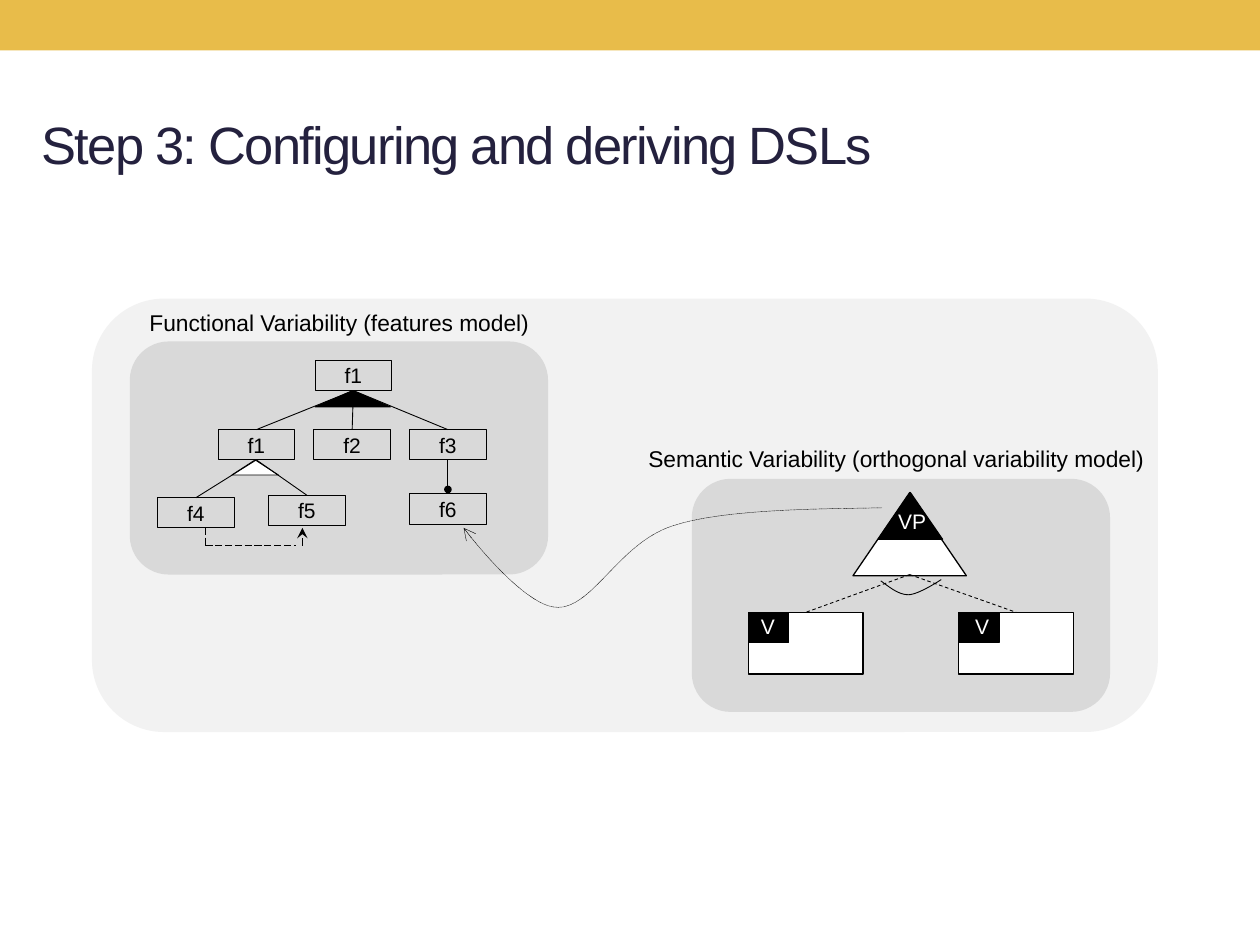
from dataclasses import dataclass

from lxml import etree
from pptx import Presentation
from pptx.dml.color import RGBColor
from pptx.enum.dml import MSO_LINE
from pptx.enum.shapes import MSO_CONNECTOR, MSO_SHAPE
from pptx.enum.text import MSO_ANCHOR, PP_ALIGN
from pptx.oxml.ns import qn
from pptx.util import Cm, Pt

RECT, ROUNDED = MSO_SHAPE.RECTANGLE, MSO_SHAPE.ROUNDED_RECTANGLE
TRIANGLE, OVAL = MSO_SHAPE.ISOSCELES_TRIANGLE, MSO_SHAPE.OVAL
STRAIGHT = MSO_CONNECTOR.STRAIGHT
DASH, LONG_DASH, DOT = MSO_LINE.DASH, MSO_LINE.LONG_DASH, MSO_LINE.ROUND_DOT
LEFT, CENTER, MIDDLE = PP_ALIGN.LEFT, PP_ALIGN.CENTER, MSO_ANCHOR.MIDDLE
TOP_SIDE, BOTTOM_SIDE = 0, 2
BLACK, WHITE = "000000", "FFFFFF"
OUTER_GREY, PANEL_GREY = "F2F2F2", "D9D9D9"
FONT = "Arial"


@dataclass
class Box:
    """Position and size in inches."""
    left: float
    top: float
    width: float
    height: float

    def lengths(self):
        return [inch(v) for v in (self.left, self.top, self.width, self.height)]


@dataclass
class Feature:
    key: str
    label: str
    left: float
    top: float
    parent: str = ""


@dataclass
class Label:
    text: str
    box: Box
    size: int
    color: str
    align: PP_ALIGN


def inch(value: float) -> Cm:
    return Cm(value * 2.54)


def rgb(color: str) -> RGBColor:
    return RGBColor.from_string(color)


def style_line(line, width: float, dash=None, arrow: str = ""):
    line.color.rgb = rgb(BLACK)
    line.width = Pt(width)
    if dash is not None:
        line.dash_style = dash
    if arrow:
        etree.SubElement(line._get_or_add_ln(), qn("a:tailEnd"), type=arrow)


def add_shape(slide, kind, box: Box, fill: str = "", line_width: float = 0):
    shape = slide.shapes.add_shape(kind, *box.lengths())
    shape.shadow.inherit = False
    if fill:
        shape.fill.solid()
        shape.fill.fore_color.rgb = rgb(fill)
    else:
        shape.fill.background()
    if line_width:
        style_line(shape.line, line_width)
    else:
        shape.line.fill.background()
    return shape


def add_run(paragraph, text: str, size: int, color: str):
    run = paragraph.add_run()
    run.text = text
    run.font.name = FONT
    run.font.size = Pt(size)
    run.font.color.rgb = rgb(color)
    return run


def add_label(slide, label: Label):
    frame = slide.shapes.add_textbox(*label.box.lengths()).text_frame
    frame.word_wrap = True
    frame.paragraphs[0].alignment = label.align
    add_run(frame.paragraphs[0], label.text, label.size, label.color)


def add_line(slide, start=(0, 0), end=(0, 0), dash=None, arrow="", source=None, target=None):
    """Draw a line; source joins at its bottom, target at its top."""
    points = [inch(v) for v in (*start, *end)]
    connector = slide.shapes.add_connector(STRAIGHT, *points)
    if source is not None:
        connector.begin_connect(source, BOTTOM_SIDE)
    if target is not None:
        connector.end_connect(target, TOP_SIDE)
    style_line(connector.line, 0.5, dash, arrow)
    etree.SubElement(connector._element.spPr, qn("a:effectLst"))


def bezier_points(controls, steps: int = 24):
    """Sample chained cubic curves whose end points are shared."""
    points = [controls[0]]
    for first in range(0, len(controls) - 1, 3):
        a, b, c, d = controls[first:first + 4]
        for step in range(1, steps + 1):
            t = step / steps
            u = 1 - t
            weights = (u ** 3, 3 * u * u * t, 3 * u * t * t, t ** 3)
            points.append(tuple(
                sum(w * p[axis] for w, p in zip(weights, (a, b, c, d))) for axis in (0, 1)))
    return points


def add_curve(slide, controls, width: float, dash=None, arrow: str = ""):
    points = [(inch(x), inch(y)) for x, y in bezier_points(controls)]
    builder = slide.shapes.build_freeform(*points[0])
    builder.add_line_segments(points[1:], close=False)
    curve = builder.convert_to_shape()
    curve.shadow.inherit = False
    curve.fill.background()
    style_line(curve.line, width, dash, arrow)


def add_feature(slide, feature: Feature):
    shape = add_shape(slide, RECT, Box(feature.left, feature.top, 0.61, 0.24), line_width=0.5)
    frame = shape.text_frame
    frame.margin_left = frame.margin_right = inch(0.04)
    frame.margin_top = frame.margin_bottom = inch(0.02)
    frame.paragraphs[0].alignment = CENTER
    add_run(frame.paragraphs[0], feature.label, 12, BLACK)
    return shape


def add_title(slide, text: str):
    title = slide.shapes.title
    title.left, title.top, title.width, title.height = Box(0.23, 0.6, 9, 1.08).lengths()
    title.text_frame.vertical_anchor = MIDDLE
    paragraph = title.text_frame.paragraphs[0]
    paragraph.alignment = LEFT
    run = add_run(paragraph, text, 30, "24213E")
    run.font._element.set("spc", "-100")


def add_feature_model(slide):
    add_shape(slide, ROUNDED, Box(1.03, 2.71, 3.32, 1.85), PANEL_GREY)
    add_shape(slide, TRIANGLE, Box(2.5, 3.1, 0.6, 0.13), BLACK, 0.5)
    add_shape(slide, TRIANGLE, Box(1.84, 3.65, 0.37, 0.12), WHITE, 0.5)
    features = [
        Feature("root", "f1", 2.5, 2.86),
        Feature("f1", "f1", 1.73, 3.41, "root"),
        Feature("f2", "f2", 2.49, 3.41, "root"),
        Feature("f3", "f3", 3.25, 3.41, "root"),
        Feature("f4", "f4", 1.25, 3.95, "f1"),
        Feature("f5", "f5", 2.13, 3.93, "f1"),
        Feature("f6", "f6", 3.25, 3.92, "f3"),
    ]
    boxes = {feature.key: add_feature(slide, feature) for feature in features}
    for feature in features:
        if feature.parent:
            add_line(slide, source=boxes[feature.parent], target=boxes[feature.key])
    add_shape(slide, OVAL, Box(3.53, 3.86, 0.05, 0.05), BLACK, 0.75)
    add_line(slide, (1.63, 4.33), (2.35, 4.33), LONG_DASH)
    add_line(slide, (2.4, 4.33), (2.4, 4.19), LONG_DASH, "stealth")
    add_line(slide, (1.63, 4.19), (1.63, 4.33), LONG_DASH)


def add_variability_model(slide):
    add_shape(slide, ROUNDED, Box(5.49, 3.8, 3.32, 1.85), PANEL_GREY)
    add_shape(slide, TRIANGLE, Box(6.77, 3.91, 0.9, 0.66), WHITE, 0.75)
    add_shape(slide, TRIANGLE, Box(6.97, 3.91, 0.51, 0.37), BLACK, 0.75)
    for left in (5.94, 7.61):
        variant = add_shape(slide, RECT, Box(left, 4.86, 0.91, 0.49), WHITE, 0.75)
        add_shape(slide, RECT, Box(left, 4.86, 0.32, 0.24), BLACK, 0.75)
        add_line(slide, (7.22, 4.56), (left, 4.86), DASH, target=variant)
    add_curve(slide, [(6.99, 4.61), (7.06, 4.66), (7.13, 4.72), (7.21, 4.72),
                      (7.29, 4.72), (7.47, 4.6), (7.47, 4.6)], 0.5)


def main():
    deck = Presentation()
    deck.slide_width, deck.slide_height = inch(10), inch(7.5)
    slide = deck.slides.add_slide(deck.slide_layouts[5])
    add_shape(slide, RECT, Box(0, 0, 10, 0.4), "E8BC4A")
    add_title(slide, "Step 3: Configuring and deriving DSLs")
    add_shape(slide, ROUNDED, Box(0.73, 2.37, 8.46, 3.44), OUTER_GREY)
    add_feature_model(slide)
    add_variability_model(slide)
    add_curve(slide, [(7, 4.03), (6.64, 4.04), (5.78, 4.03), (5.35, 4.17),
                      (4.92, 4.3), (4.71, 4.82), (4.43, 4.82),
                      (4.16, 4.83), (3.68, 4.19), (3.68, 4.19)], 0.25, DOT, "arrow")
    for label in (
        Label("Functional Variability (features model)",
              Box(1.03, 2.4, 3.32, 0.32), 13, BLACK, CENTER),
        Label("Semantic Variability (orthogonal variability model)",
              Box(4.99, 3.48, 4.24, 0.32), 13, BLACK, CENTER),
        Label("VP", Box(7.03, 3.99, 0.6, 0.3), 12, WHITE, LEFT),
        Label("V", Box(5.94, 4.82, 0.6, 0.3), 12, WHITE, LEFT),
        Label("V", Box(7.64, 4.82, 0.6, 0.3), 12, WHITE, LEFT),
    ):
        add_label(slide, label)
    deck.save("out.pptx")


if __name__ == "__main__":
    main()
